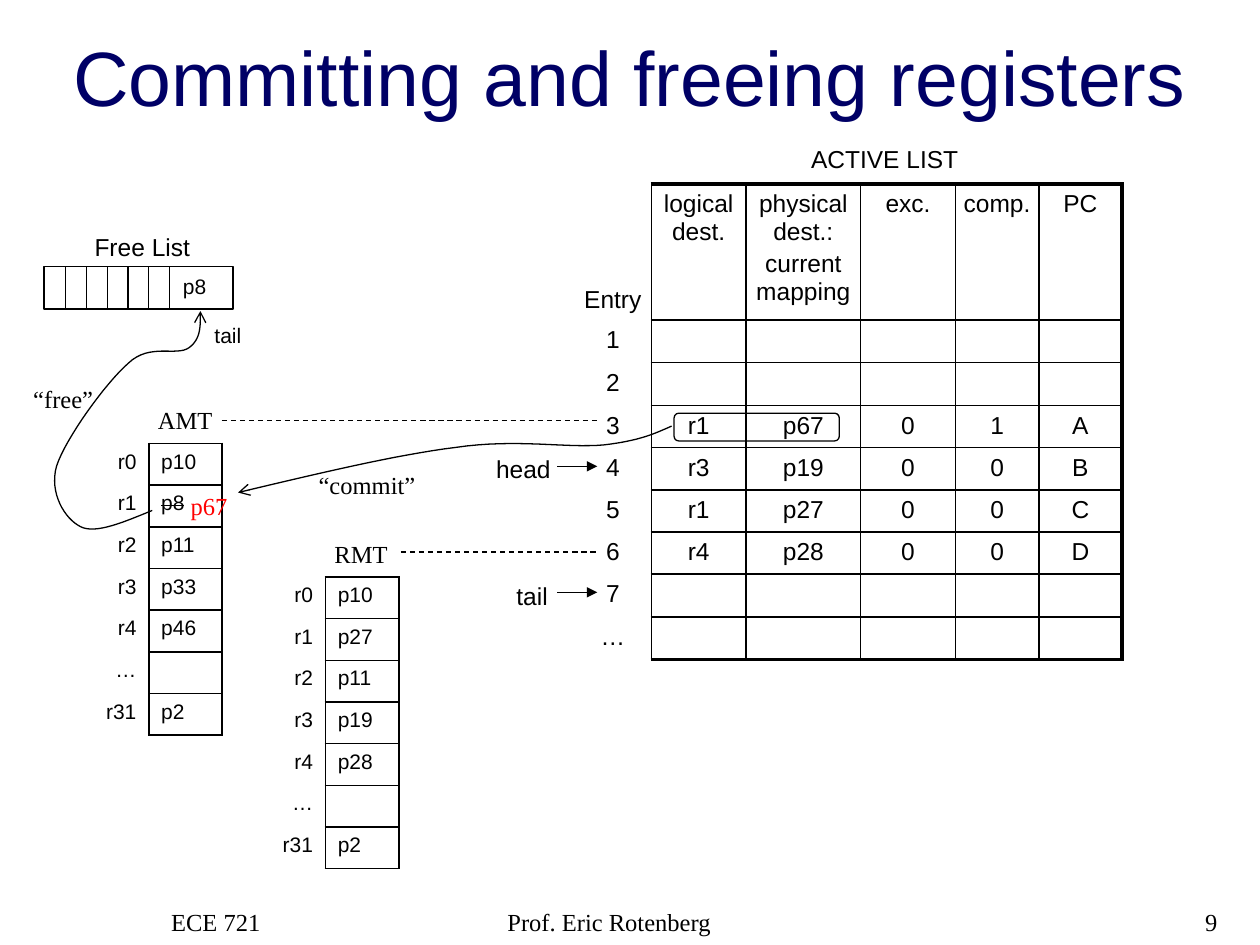
import pptx
import pptx.dml.color
import pptx.enum.dml
import pptx.enum.shapes
import pptx.enum.text
import pptx.oxml.ns
import pptx.util
from lxml import etree

Cm = pptx.util.Cm
Pt = pptx.util.Pt
qn = pptx.oxml.ns.qn
SHAPE = pptx.enum.shapes.MSO_SHAPE
ANCHOR = pptx.enum.text.MSO_ANCHOR
ALIGN = {
    "left": pptx.enum.text.PP_ALIGN.LEFT,
    "center": pptx.enum.text.PP_ALIGN.CENTER,
    "right": pptx.enum.text.PP_ALIGN.RIGHT,
}
COLORS = {"black": "000000", "title": "000066", "new": "FF0000"}
SANS, SERIF = "Arial", "Times New Roman"


def write(frame, text, size=14, font=SANS, color="black", align="left", strike=False):
    """Fill a text frame, one paragraph per line of text."""
    for index, line in enumerate(text.split("\n")):
        para = frame.paragraphs[0] if index == 0 else frame.add_paragraph()
        para.alignment = ALIGN[align]
        if index > 0:
            para.space_before = Pt(0.2 * size)
        if not line:
            para._p.get_or_add_endParaRPr().set("sz", str(size * 100))
            continue
        span = para.add_run()
        span.text = line
        span.font.size = Pt(size)
        span.font.name = font
        span.font.bold = False
        span.font.color.rgb = pptx.dml.color.RGBColor.from_string(COLORS[color])
        if strike:
            span.font._element.set("strike", "sngStrike")


def outline(shape, arrow=None, dashed=False):
    """Give a shape or connector a thin black line and no shadow."""
    shape.line.width = Pt(0.75)
    shape.line.color.rgb = pptx.dml.color.RGBColor.from_string(COLORS["black"])
    if dashed:
        shape.line.dash_style = pptx.enum.dml.MSO_LINE.DASH
    if arrow:
        etree.SubElement(shape.line._get_or_add_ln(), qn("a:tailEnd"), type=arrow)
    etree.SubElement(shape._element.spPr, qn("a:effectLst"))


deck = pptx.Presentation()
deck.slide_width, deck.slide_height = Cm(25.4), Cm(19.05)
page = deck.slides.add_slide(deck.slide_layouts[6])

# Tables: the first column holds row labels and has no border of its own
active_rows = [
    ["Entry", "logical dest.", "physical dest.:\ncurrent mapping", "exc.", "comp.", "PC"],
    ["1"] + [""] * 5,
    ["2"] + [""] * 5,
    ["3", "r1", "p67", "0", "1", "A"],
    ["4", "r3", "p19", "0", "0", "B"],
    ["5", "r1", "p27", "0", "0", "C"],
    ["6", "r4", "p28", "0", "0", "D"],
    ["7"] + [""] * 5,
    ["…"] + [""] * 5,
]
registers = ["r0", "r1", "r2", "r3", "r4", "…", "r31"]
amt_rows = list(zip(registers, ["p10", "p8", "p11", "p33", "p46", "", "p2"]))
rmt_rows = list(zip(registers, ["p10", "p27", "p11", "p19", "p28", "", "p2"]))
active_widths = [1.55, 1.91, 2.31, 1.91, 1.68, 1.68]
active_heights = [2.74] + [0.85] * 8
map_widths, map_heights = [1.48] * 2, [0.84] * 7

# rows, left, top, column widths, row heights, outer border, side margin, size, aligns, struck cell
tables = [
    (active_rows, 11.58, 3.71, active_widths, active_heights, 2.25, 0.13, 14, ["center"] * 6, None),
    (amt_rows, 1.52, 8.94, map_widths, map_heights, 1, 0.25, 12, ["right", "left"], (1, 1)),
    (rmt_rows, 5.08, 11.63, map_widths, map_heights, 1, 0.25, 12, ["right", "left"], None),
]
for rows, left, top, widths, heights, outer, margin, size, aligns, struck in tables:
    table = page.shapes.add_table(len(rows), len(widths), Cm(left), Cm(top),
                                  Cm(sum(widths)), Cm(sum(heights))).table
    table.first_row = table.horz_banding = False
    for column, width in zip(table.columns, widths):
        column.width = Cm(width)
    for row, height in zip(table.rows, heights):
        row.height = Cm(height)
    last_row, last_column = len(rows) - 1, len(widths) - 1
    for r, values in enumerate(rows):
        for c, text in enumerate(values):
            cell = table.cell(r, c)
            cell.margin_left = cell.margin_right = Cm(margin)
            cell.margin_top = cell.margin_bottom = Cm(0.13)
            if (r, c) == (0, 0) and text == "Entry":
                cell.vertical_anchor = ANCHOR.BOTTOM
            write(cell.text_frame, text, size=size, align=aligns[c], strike=(r, c) == struck)
            borders = {
                "lnL": 1 if c else 0,
                "lnR": outer if c == last_column else 1,
                "lnT": (outer if r == 0 else 1) if c else 0,
                "lnB": (outer if r == last_row else 1) if c else 0,
            }
            properties = cell._tc.get_or_add_tcPr()
            for side, weight in borders.items():
                edge = etree.SubElement(properties, qn("a:" + side), w=str(Pt(weight or 1)))
                if weight:
                    fill = etree.SubElement(edge, qn("a:solidFill"))
                    etree.SubElement(fill, qn("a:srgbClr"), val=COLORS["black"])
                else:
                    etree.SubElement(edge, qn("a:noFill"))
            cell.fill.background()

# Free list queue and the highlighted active list entry
for kind, left, top, width, height in [
    (SHAPE.RECTANGLE, 0.89, 5.38, 3.81, 0.85),
    (SHAPE.ROUNDED_RECTANGLE, 13.59, 8.33, 3.33, 0.56),
]:
    frame_shape = page.shapes.add_shape(kind, Cm(left), Cm(top), Cm(width), Cm(height))
    frame_shape.fill.background()
    outline(frame_shape)

# Straight lines: from x, from y, to x, to y, format
lines = [(1.32 + 0.42 * i, 5.38, 1.32 + 0.42 * i, 6.23, {}) for i in range(6)]
lines += [(11.23, y, 12.04, y, {"arrow": "triangle"}) for y in (9.4, 11.94)]
lines += [(x, y, 12.04, y, {"dashed": True}) for x, y in ((4.47, 8.48), (8.08, 11.13))]
for x1, y1, x2, y2, style in lines:
    connector = page.shapes.add_connector(pptx.enum.shapes.MSO_CONNECTOR.STRAIGHT,
                                          Cm(x1), Cm(y1), Cm(x2), Cm(y2))
    outline(connector, **style)

# Curved arrows: a start point, then two control points and an end point per Bezier piece
free_curve = [
    (3.07, 10.29), (2.51, 10.52), (1.93, 10.77), (1.63, 10.62),
    (1.3, 10.46), (0.99, 9.93), (1.14, 9.4),
    (1.32, 8.84), (2.13, 7.72), (2.59, 7.32),
    (3.02, 6.91), (3.56, 7.19), (3.81, 7.01),
    (4.06, 6.83), (4.04, 6.55), (4.04, 6.27),
]
commit_curve = [
    (13.54, 8.59), (13.21, 8.74), (12.88, 8.89), (12.17, 8.97),
    (11.43, 9.04), (10.41, 8.84), (9.19, 9.02),
    (7.98, 9.17), (6.4, 9.55), (4.8, 9.93),
]
STEPS = 16
for curve in (free_curve, commit_curve):
    points = []
    for start in range(0, len(curve) - 1, 3):
        piece = curve[start:start + 4]
        for step in range(1, STEPS + 1):
            t = step / STEPS
            weights = ((1 - t) ** 3, 3 * t * (1 - t) ** 2, 3 * t ** 2 * (1 - t), t ** 3)
            points.append([Cm(sum(w * p[axis] for w, p in zip(weights, piece)))
                           for axis in (0, 1)])
    builder = page.shapes.build_freeform(Cm(curve[0][0]), Cm(curve[0][1]))
    builder.add_line_segments(points, close=False)
    arrow = builder.convert_to_shape()
    arrow.fill.background()
    outline(arrow, arrow="arrow")

# Text boxes: text, left, top, width, height, format
serif = {"font": SERIF}
serif_center = {"font": SERIF, "align": "center"}
small = {"size": 12, "align": "center"}
title = "Committing and freeing registers"
labels = [
    (title, 0, 0.46, 25.4, 2.13, {"size": 44, "color": "title", "align": "center"}),
    ("ECE 721", 3.2, 18.16, 5.28, 1.27, serif),
    ("Prof. Eric Rotenberg", 9.98, 18.16, 8.05, 1.27, serif),
    ("9", 19.51, 18.16, 5.28, 1.27, {"font": SERIF, "align": "right"}),
    ("ACTIVE LIST", 16.1, 2.77, 3.53, 0.85, {}),
    ("head", 9.75, 9.02, 1.68, 0.85, {}),
    ("tail", 10.16, 11.58, 1.14, 0.85, {}),
    ("AMT", 2.92, 8.05, 1.63, 0.85, serif_center),
    ("RMT", 6.48, 10.74, 1.6, 0.85, serif_center),
    ("p67", 3.58, 9.78, 1.27, 0.85, {**serif_center, "color": "new"}),
    ("Free List", 1.65, 4.55, 2.44, 0.85, {"align": "center"}),
    ("p8", 3.43, 5.38, 0.99, 0.76, small),
    ("tail", 4.06, 6.38, 1.07, 0.76, small),
    ("“commit”", 6.17, 9.35, 2.46, 0.85, serif_center),
    ("“free”", 0.41, 7.62, 1.73, 0.85, serif_center),
]
for text, left, top, width, height, style in labels:
    box = page.shapes.add_textbox(Cm(left), Cm(top), Cm(width), Cm(height))
    box.text_frame.word_wrap = width > 5
    if text == title:
        box.text_frame.vertical_anchor = ANCHOR.BOTTOM
    write(box.text_frame, text, **style)

deck.save("out.pptx")
